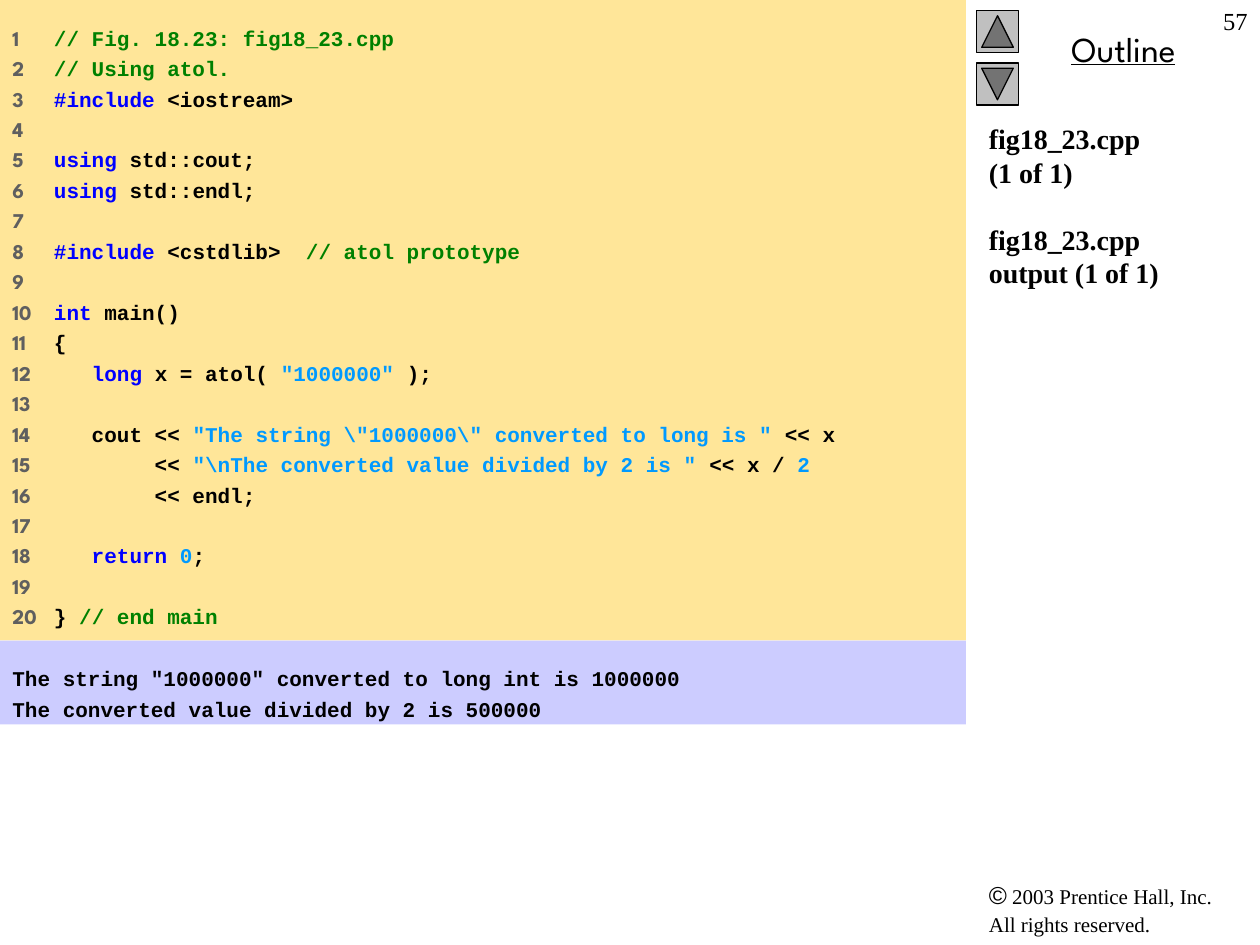
from dataclasses import dataclass, field
from typing import NamedTuple

from lxml import etree
from pptx import Presentation
from pptx.dml.color import RGBColor
from pptx.enum.shapes import MSO_SHAPE
from pptx.enum.text import MSO_ANCHOR, PP_ALIGN
from pptx.oxml.ns import qn
from pptx.util import Inches, Pt

RECT = MSO_SHAPE.RECTANGLE
BACK_BUTTON = MSO_SHAPE.ACTION_BUTTON_BACK_OR_PREVIOUS
TOP = MSO_ANCHOR.TOP
LEFT, CENTER, RIGHT = PP_ALIGN.LEFT, PP_ALIGN.CENTER, PP_ALIGN.RIGHT

BLACK = RGBColor(0x00, 0x00, 0x00)
GRAY = RGBColor(0x5F, 0x5F, 0x5F)
SILVER = RGBColor(0xC0, 0xC0, 0xC0)
GREEN = RGBColor(0x00, 0x80, 0x00)
BLUE = RGBColor(0x00, 0x00, 0xFF)
SKY = RGBColor(0x00, 0x99, 0xFF)
SAND = RGBColor(0xFF, 0xE6, 0x99)
LILAC = RGBColor(0xCC, 0xCC, 0xFF)

MONO, SERIF, SANS, DISPLAY = "Courier New", "Times New Roman", "Arial", "League Spartan"
WIDTH, HEIGHT = Inches(10), Inches(7.5)
COLUMNS, ROWS = 120, 90
CODE_TAB = Inches(0.33)


class Area(NamedTuple):
    col: float
    row: float
    cols: float
    rows: float

    def box(self) -> tuple[int, int, int, int]:
        x, y = WIDTH / COLUMNS, HEIGHT / ROWS
        return round(self.col * x), round(self.row * y), round(self.cols * x), round(self.rows * y)


class Run(NamedTuple):
    text: str
    color: RGBColor = BLACK
    name: str = MONO
    size: float = 12
    bold: bool = True
    underline: bool = False


@dataclass
class Block:
    area: Area
    paragraphs: list[list[Run]]
    format: dict = field(default_factory=dict)
    gap: float = 0
    inset: float = 0.05
    fill: RGBColor | None = None
    tab: int | None = None


class Button(NamedTuple):
    area: Area
    rotation: int


CODE = [
    [Run("// Fig. 18.23: fig18_23.cpp", GREEN)],
    [Run("// Using atol.", GREEN)],
    [Run("#include", BLUE), Run(" <iostream>")],
    [],
    [Run("using", BLUE), Run(" std::cout;")],
    [Run("using", BLUE), Run(" std::endl;")],
    [],
    [Run("#include", BLUE), Run(" <cstdlib>  "), Run("// atol prototype", GREEN)],
    [],
    [Run("int", BLUE), Run(" main()")],
    [Run("{")],
    [Run("   long", BLUE), Run(" x = atol( "), Run('"1000000" ', SKY), Run(");")],
    [],
    [Run("   cout <<"), Run(r' "The string \"1000000\" converted to long is "', SKY), Run(" << x")],
    [Run("        <<"), Run(r' "\nThe converted value divided by 2 is " ', SKY),
     Run("<< x / "), Run("2", SKY)],
    [Run("        << endl;")],
    [],
    [Run("   return ", BLUE), Run("0", SKY), Run(";")],
    [],
    [Run("} "), Run("// end main", GREEN)],
]
OUTPUT = [
    [Run('The string "1000000" converted to long int is 1000000')],
    [Run("The converted value divided by 2 is 500000")],
]
SECTIONS = ["fig18_23.cpp\v(1 of 1)", "fig18_23.cpp\voutput (1 of 1)"]


def numbered(lines: list[list[Run]]) -> list[list[Run]]:
    return [
        [Run(f"{n}\t" if line else str(n), GRAY, DISPLAY), *line]
        for n, line in enumerate(lines, 1)
    ]


LISTING = {"line_spacing": Pt(14.4), "alignment": LEFT}
BLOCKS = [
    Block(Area(93, 83, 26, 6.5),
          [[Run("©", name=SANS, size=14, bold=False),
            Run(" 2003 Prentice Hall, Inc.\vAll rights reserved.", name=SERIF, bold=False)]],
          {"line_spacing": 1.08}),
    Block(Area(94, 2, 26, 5.25),
          [[Run("Outline", name=DISPLAY, size=20, bold=False, underline=True)]],
          {"alignment": CENTER}),
    Block(Area(93, 11, 27, 63), [[Run(s, name=SERIF, size=16)] for s in SECTIONS],
          {"line_spacing": Pt(19.2)}, gap=19.2),
    Block(Area(0, 0, 92, 61), numbered(CODE), LISTING, 3, 0.2, SAND, CODE_TAB),
    Block(Area(0, 61, 92, 8), OUTPUT, LISTING, 3, 0.2, LILAC),
    Block(Area(114, 0, 6, 6), [[Run("57", name=SERIF, size=14, bold=False)]],
          {"alignment": RIGHT}),
]
BUTTONS = [Button(Area(93, 1, 4, 4), 90), Button(Area(93, 6, 4, 4), 270)]


def set_all(target: object, values: dict) -> None:
    for key, value in values.items():
        setattr(target, key, value)


def add_tab(p, position: int) -> None:
    tabs = etree.SubElement(p._p.get_or_add_pPr(), qn("a:tabLst"))
    etree.SubElement(tabs, qn("a:tab"), pos=str(position), algn="l")


def add_run(p, run: Run) -> None:
    for i, text in enumerate(run.text.split("\v")):
        if i:
            p.add_line_break()
        r = p.add_run()
        r.text = text
        values = run._asdict()
        values.pop("text")
        r.font.color.rgb = values.pop("color")
        set_all(r.font, {**values, "size": Pt(run.size)})


def draw_block(shapes, block: Block) -> None:
    if block.fill is None:
        sp = shapes.add_textbox(*block.area.box())
    else:
        sp = shapes.add_shape(RECT, *block.area.box())
        sp.shadow.inherit = False
        sp.fill.solid()
        sp.fill.fore_color.rgb = block.fill
        sp.line.fill.background()
    tf = sp.text_frame
    set_all(tf, {
        "word_wrap": True, "vertical_anchor": TOP,
        "margin_left": Inches(0.1), "margin_right": Inches(0.1),
        "margin_top": Inches(block.inset), "margin_bottom": Inches(block.inset),
    })
    for i, runs in enumerate(block.paragraphs):
        p = tf.add_paragraph() if i else tf.paragraphs[0]
        if block.tab:
            add_tab(p, block.tab)
        set_all(p, {**block.format, "space_before": Pt(block.gap if i else 0)})
        for run in runs:
            add_run(p, run)


def draw_button(shapes, button: Button) -> None:
    sp = shapes.add_shape(BACK_BUTTON, *button.area.box())
    sp.shadow.inherit = False
    sp.rotation = button.rotation
    sp.fill.solid()
    sp.fill.fore_color.rgb = SILVER
    sp.line.color.rgb = BLACK
    sp.line.width = Pt(0.75)


def main() -> None:
    prs = Presentation()
    set_all(prs, {"slide_width": WIDTH, "slide_height": HEIGHT})
    s = prs.slides.add_slide(prs.slide_layouts[6])
    for button in BUTTONS:
        draw_button(s.shapes, button)
    for block in BLOCKS:
        draw_block(s.shapes, block)
    prs.save("out.pptx")


if __name__ == "__main__":
    main()
